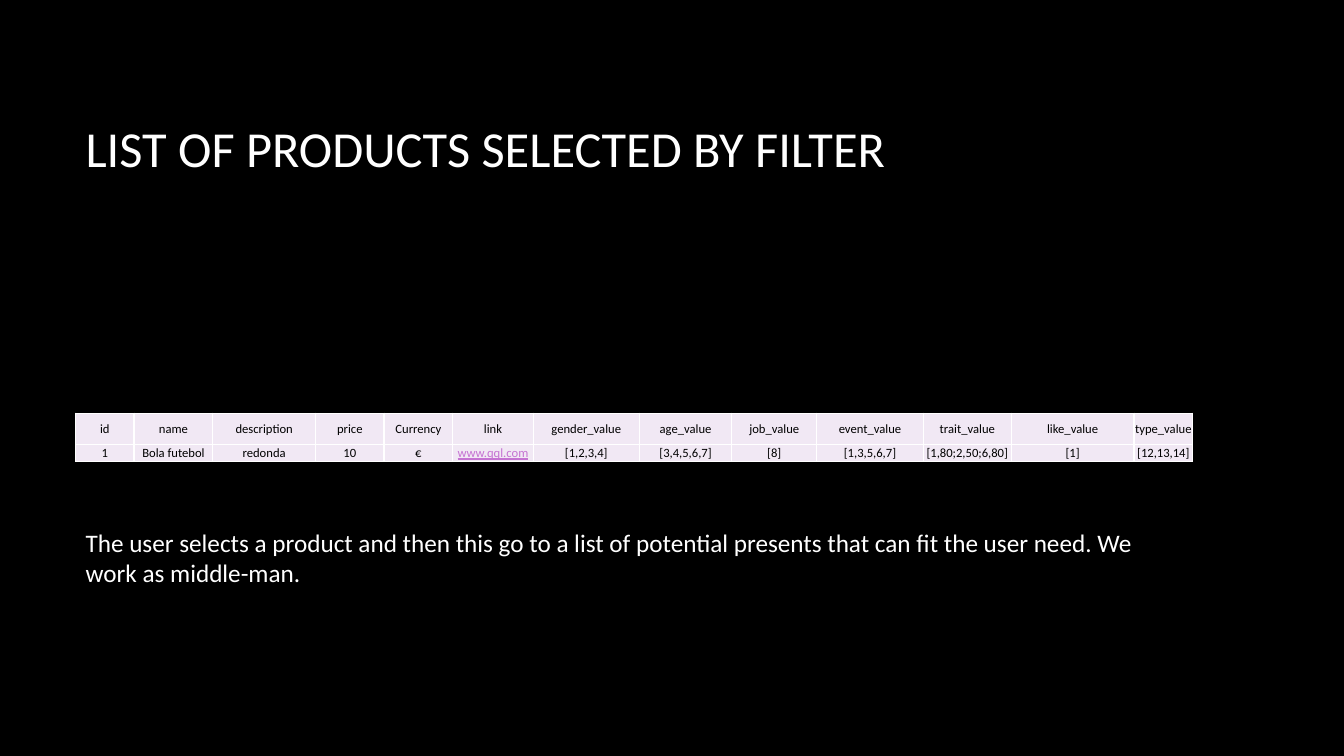
from lxml.etree import SubElement
from pptx import Presentation
from pptx.dml.color import RGBColor
from pptx.enum.text import MSO_ANCHOR, PP_ALIGN
from pptx.oxml.ns import qn
from pptx.util import Inches, Pt

COLORS = {"background": "000000", "heading": "FFFFFF", "cell": "F1E8F4",
          "cell_text": "000000", "link": "C573D2", "border": "FFFFFF"}
FONT = "Calibri"
LEFT, WIDTH = 0.75, 11.08

# Field, value of the selected product, column width in inches
FIELDS = [
    ("id", "1", 0.58),
    ("name", "Bola futebol", 0.78),
    ("description", "redonda", 1.02),
    ("price", "10", 0.68),
    ("Currency", "€", 0.68),
    ("link", "www.qql.com", 0.8),
    ("gender_value", "[1,2,3,4]", 1.05),
    ("age_value", "[3,4,5,6,7]", 0.92),
    ("job_value", "[8]", 0.84),
    ("event_value", "[1,3,5,6,7]", 1.06),
    ("trait_value", "[1,80;2,50;6,80]", 0.87),
    ("like_value", "[1]", 1.22),
    ("type_value", "[12,13,14]", 0.58),
]
ROW_HEIGHTS = [0.31, 0.17]


def color(name):
    return RGBColor.from_string(COLORS[name])


def style_font(paragraph, size, color_name):
    for run in paragraph.runs:
        run.font.name = FONT
        run.font.size = Pt(size)
        run.font.color.rgb = color(color_name)


def add_text(slide, box, text, size, anchor):
    frame = slide.shapes.add_textbox(*map(Inches, box)).text_frame
    frame.word_wrap = True
    frame.vertical_anchor = anchor
    frame.text = text
    style_font(frame.paragraphs[0], size, "heading")


def add_borders(cell):
    """Draw a 1 pt line on each side; lines must precede the fill in tcPr."""
    properties = cell._tc.get_or_add_tcPr()
    for position, side in enumerate(("lnL", "lnR", "lnT", "lnB")):
        line = SubElement(properties, qn(f"a:{side}"), w=str(Pt(1)))
        fill = SubElement(line, qn("a:solidFill"))
        SubElement(fill, qn("a:srgbClr"), val=COLORS["border"])
        properties.insert(position, line)


def fill_cell(cell, text, is_link):
    cell.fill.solid()
    cell.fill.fore_color.rgb = color("cell")
    cell.margin_left = cell.margin_right = cell.margin_top = Inches(0.01)
    cell.margin_bottom = 0
    cell.vertical_anchor = MSO_ANCHOR.MIDDLE
    cell.text_frame.text = text
    paragraph = cell.text_frame.paragraphs[0]
    paragraph.alignment = PP_ALIGN.CENTER
    style_font(paragraph, 9, "link" if is_link else "cell_text")
    if is_link:
        paragraph.runs[0].font.underline = True
    add_borders(cell)


def add_product_table(slide, box):
    products = slide.shapes.add_table(
        len(ROW_HEIGHTS), len(FIELDS), *map(Inches, box)).table
    products.horz_banding = False
    for row, height in zip(products.rows, ROW_HEIGHTS):
        row.height = Inches(height)
    for column, (field, value, width) in enumerate(FIELDS):
        products.columns[column].width = Inches(width)
        fill_cell(products.cell(0, column), field, False)
        fill_cell(products.cell(1, column), value, field == "link")


def main():
    presentation = Presentation()
    presentation.slide_width = Inches(13.33)
    presentation.slide_height = Inches(7.5)
    slide = presentation.slides.add_slide(presentation.slide_layouts[6])
    slide.background.fill.solid()
    slide.background.fill.fore_color.rgb = color("background")

    add_text(slide, (LEFT, 0.67, WIDTH, 1.59),
             "LIST OF PRODUCTS SELECTED BY FILTER", 36, MSO_ANCHOR.MIDDLE)
    add_product_table(slide, (LEFT, 4.1, WIDTH, sum(ROW_HEIGHTS)))
    add_text(slide, (LEFT, 5.18, WIDTH, 0.71),
             "The user selects a product and then this go to a list of potential "
             "presents that can fit the user need. We work as middle-man.",
             18, MSO_ANCHOR.TOP)
    presentation.save("out.pptx")


if __name__ == "__main__":
    main()
